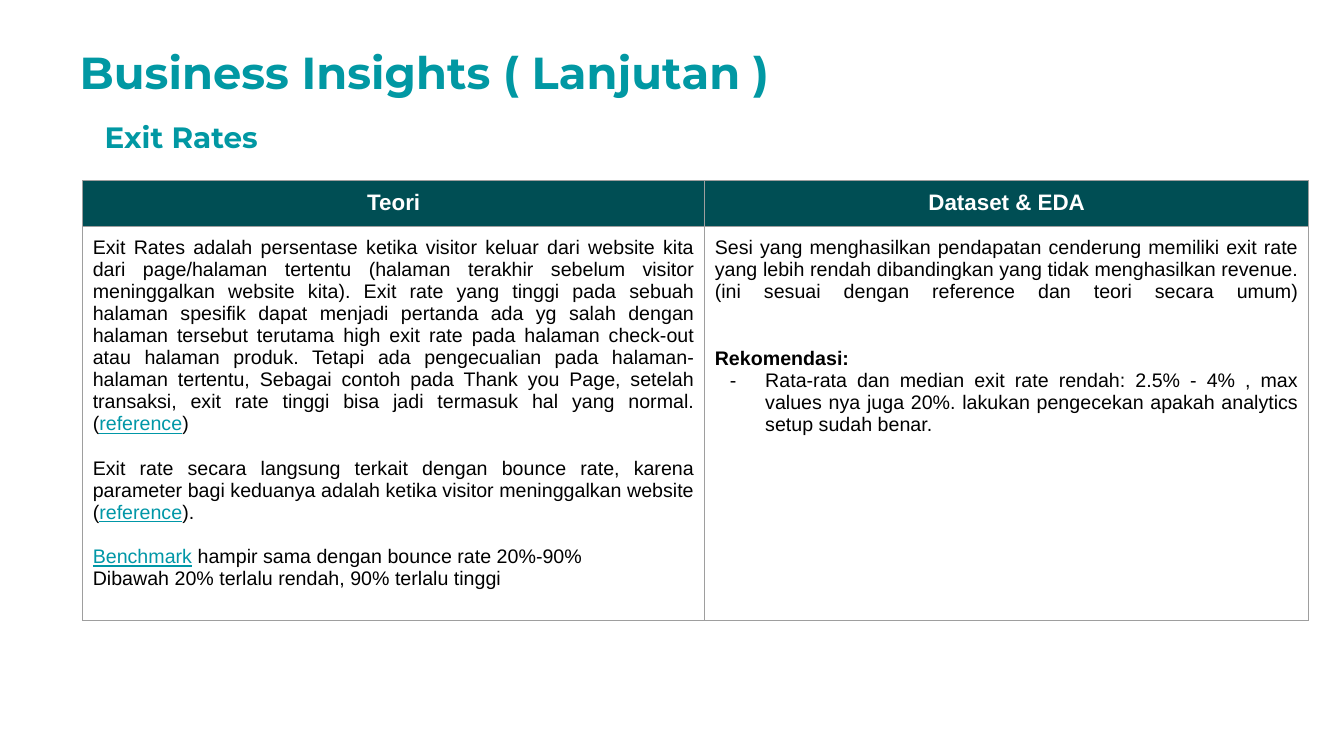
from pptx import Presentation
from pptx.dml.color import RGBColor
from pptx.enum.text import MSO_ANCHOR, MSO_AUTO_SIZE, PP_ALIGN
from pptx.oxml import parse_xml
from pptx.oxml.ns import nsdecls
from pptx.util import Inches, Pt

TEAL = RGBColor(0x01, 0x98, 0xA3)
LINK = RGBColor(0x00, 0x97, 0xA7)
HEADER = RGBColor(0x00, 0x4E, 0x54)
BORDER = RGBColor(0x9E, 0x9E, 0x9E)
WHITE = RGBColor(0xFF, 0xFF, 0xFF)
BLACK = RGBColor(0x00, 0x00, 0x00)

TITLE = "Business Insights ( Lanjutan )"
SUBTITLE = "Exit Rates"
COLUMN_HEADS = ["Teori", "Dataset & EDA"]

# Each paragraph is (style, runs); each run is (text, is_link).
THEORY = [
    ("plain", [
        ("Exit Rates adalah persentase ketika visitor keluar dari website kita dari "
         "page/halaman tertentu (halaman terakhir sebelum visitor meninggalkan website "
         "kita). Exit rate yang tinggi pada sebuah halaman spesifik dapat menjadi pertanda "
         "ada yg salah dengan halaman tersebut terutama high exit rate pada halaman "
         "check-out atau halaman produk. Tetapi ada pengecualian pada halaman-halaman "
         "tertentu, Sebagai contoh pada Thank you Page, setelah transaksi, exit rate "
         "tinggi bisa jadi termasuk hal yang normal. (", False),
        ("reference", True), (")", False)]),
    ("spaced", [
        ("Exit rate secara langsung terkait dengan bounce rate, karena parameter bagi "
         "keduanya adalah ketika visitor meninggalkan website (", False),
        ("reference", True), (").", False)]),
    ("spaced", [("Benchmark", True), (" hampir sama dengan bounce rate 20%-90%", False)]),
    ("plain", [("Dibawah 20% terlalu rendah, 90% terlalu tinggi", False)]),
]
DATASET = [
    ("stretched", [
        ("Sesi yang menghasilkan pendapatan cenderung memiliki exit rate yang lebih rendah "
         "dibandingkan yang tidak menghasilkan revenue. (ini sesuai dengan reference dan "
         "teori secara umum)", False)]),
    ("heading", [("Rekomendasi:", False)]),
    ("bullet", [
        ("Rata-rata dan median exit rate rendah: 2.5% - 4% , max values nya juga 20%. "
         "lakukan pengecekan apakah analytics setup sudah benar.", False)]),
]

TABLE_LEFT, TABLE_TOP = 0.82, 1.79
COLUMN_WIDTHS = [6.17, 5.99]
ROW_HEIGHTS = [0.46, 3.91]
CELL_MARGIN = Inches(0.1)
BLANK_LINE = Pt(16)


def set_font(paragraph, name, size, color, bold):
    font = paragraph.font
    font.name, font.size, font.bold = name, Pt(size), bold
    font.color.rgb = color


def format_heading(shape, text, left, top, height, size):
    shape.left, shape.top = Inches(left), Inches(top)
    shape.width, shape.height = Inches(8.04), Inches(height)
    frame = shape.text_frame
    frame.word_wrap = True
    frame.auto_size = MSO_AUTO_SIZE.NONE
    frame.vertical_anchor = MSO_ANCHOR.TOP
    paragraph = frame.paragraphs[0]
    paragraph.text = text
    paragraph.alignment = PP_ALIGN.LEFT
    paragraph.line_spacing = 1.03
    set_font(paragraph, "Montserrat", size, TEAL, True)


def format_cell(cell, fill_color=None):
    """Set margins, borders and fill, in the order the XML needs."""
    cell.margin_left = cell.margin_right = CELL_MARGIN
    cell.margin_top = cell.margin_bottom = CELL_MARGIN
    properties = cell._tc.get_or_add_tcPr()
    for side in "LRTB":
        properties.append(parse_xml(
            f'<a:ln{side} {nsdecls("a")} w="{Pt(0.75)}"><a:solidFill>'
            f'<a:srgbClr val="{BORDER}"/></a:solidFill></a:ln{side}>'))
    if fill_color is None:
        cell.fill.background()
    else:
        cell.fill.solid()
        cell.fill.fore_color.rgb = fill_color


def add_dash(paragraph):
    properties = paragraph._p.get_or_add_pPr()
    properties.set("marL", str(Inches(0.5)))
    properties.set("indent", str(Inches(-0.35)))
    for element in (f'buClr {nsdecls("a")}><a:srgbClr val="{BLACK}"/></a:buClr>',
                    f'buFont {nsdecls("a")} typeface="Arial"/>',
                    f'buChar {nsdecls("a")} char="-"/>'):
        properties.append(parse_xml("<a:" + element))


def fill_body(cell, content):
    frame = cell.text_frame
    for index, (style, runs) in enumerate(content):
        paragraph = frame.add_paragraph() if index else frame.paragraphs[0]
        paragraph.alignment = PP_ALIGN.JUSTIFY
        if style in ("spaced", "heading"):
            paragraph.space_before = BLANK_LINE
        if style == "bullet":
            add_dash(paragraph)
        set_font(paragraph, "Arial", 14, BLACK, style == "heading")
        for text, is_link in runs:
            run = paragraph.add_run()
            run.text = text
            if is_link:
                run.font.color.rgb = LINK
                run.font.underline = True
        if style == "stretched":
            paragraph.add_line_break()


def add_insight_table(slide):
    table = slide.shapes.add_table(
        2, 2, Inches(TABLE_LEFT), Inches(TABLE_TOP),
        Inches(sum(COLUMN_WIDTHS)), Inches(sum(ROW_HEIGHTS))).table
    table.first_row = table.horz_banding = False
    for row, height in zip(table.rows, ROW_HEIGHTS):
        row.height = Inches(height)
    for index, (head, body) in enumerate(zip(COLUMN_HEADS, (THEORY, DATASET))):
        table.columns[index].width = Inches(COLUMN_WIDTHS[index])
        head_cell, body_cell = table.cell(0, index), table.cell(1, index)
        format_cell(head_cell, HEADER)
        paragraph = head_cell.text_frame.paragraphs[0]
        paragraph.text = head
        paragraph.alignment = PP_ALIGN.CENTER
        set_font(paragraph, "Arial", 16, WHITE, True)
        format_cell(body_cell)
        fill_body(body_cell, body)


def main():
    presentation = Presentation()
    presentation.slide_width, presentation.slide_height = Inches(13.33), Inches(7.5)
    slide = presentation.slides.add_slide(presentation.slide_layouts[5])
    format_heading(slide.shapes.title, TITLE, 0.69, 0.38, 0.56, 32)
    add_insight_table(slide)
    subtitle = slide.shapes.add_textbox(0, 0, 0, 0)
    format_heading(subtitle, SUBTITLE, 0.94, 1.12, 0.29, 21)
    presentation.save("out.pptx")


if __name__ == "__main__":
    main()
